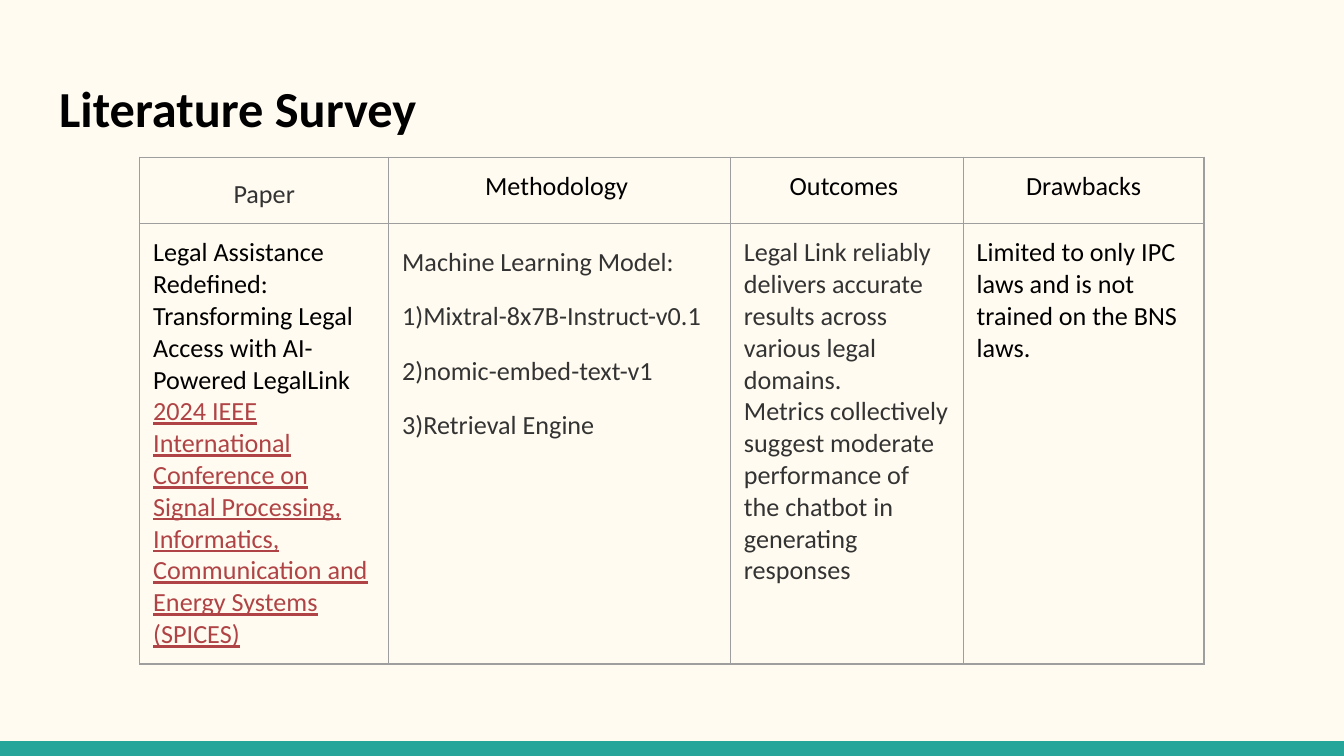
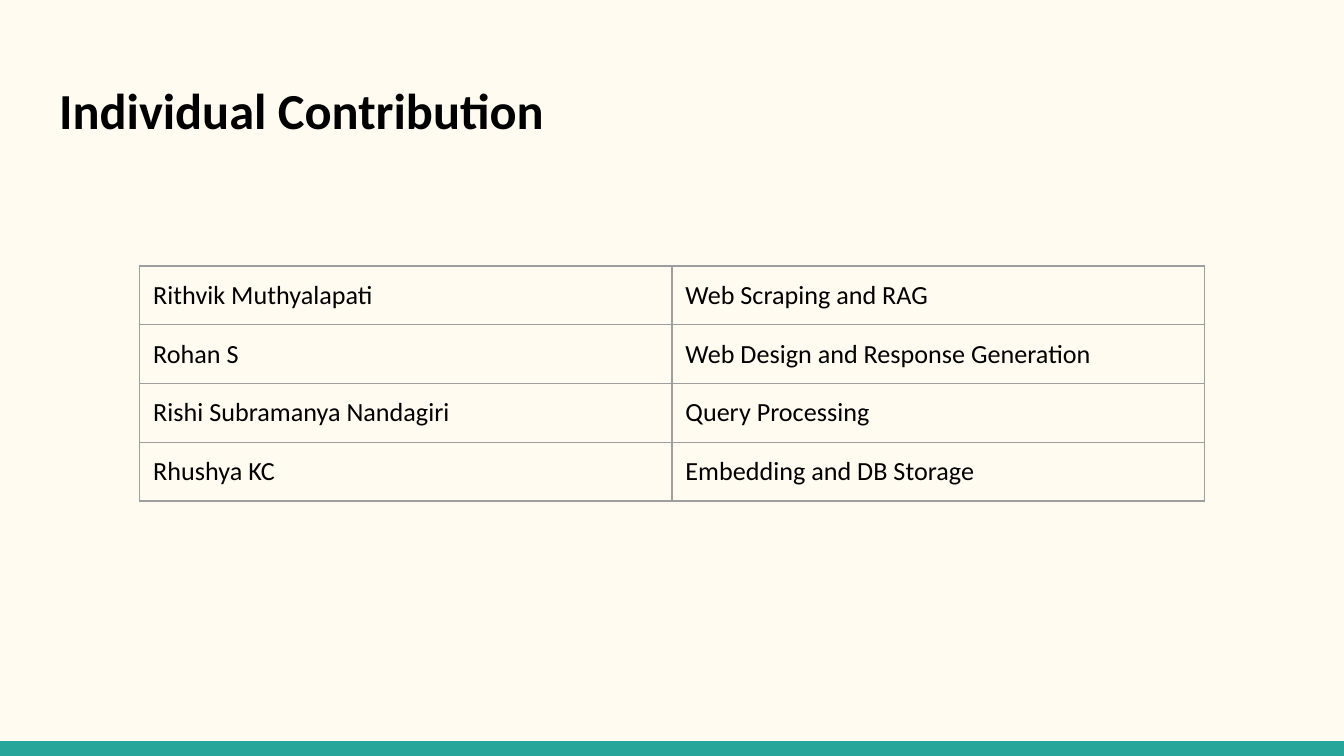
from lxml.etree import SubElement
from pptx import Presentation
from pptx.dml.color import RGBColor
from pptx.enum.shapes import MSO_SHAPE
from pptx.enum.text import MSO_ANCHOR, MSO_AUTO_SIZE, PP_ALIGN
from pptx.oxml.ns import qn
from pptx.util import Inches, Pt

COLORS = {
    "page": "FFFBF0",
    "band": "26A69A",
    "border": "9E9E9E",
    "black": "000000",
    "grey": "333333",
    "citation": "AF4345",
}
FONT = "Calibri"
SLIDE_W = 10
SLIDE_H = SLIDE_W * 9 / 16
BAND_H = 0.11
TABLE_W = 7.92
ROW_H = 0.42
INSET = 0.1

# A cell is a list of paragraphs: the text, then whatever differs from the default.
SURVEY = [
    [
        [("Paper", {"align": "center", "color": "grey", "spacing": 1.24})],
        [("Methodology ", {"align": "center"})],
        [("Outcomes ", {"align": "center"})],
        [("Drawbacks", {"align": "center"})],
    ],
    [
        [
            ("Legal Assistance Redefined: Transforming Legal Access with "
             "AI-Powered LegalLink", {}),
            ("2024 IEEE International Conference on Signal Processing, Informatics, "
             "Communication and Energy Systems (SPICES)",
             {"color": "citation", "underline": True}),
        ],
        [
            ("Machine Learning Model:", {"color": "grey", "spacing": 1.3}),
            ("1)Mixtral-8x7B-Instruct-v0.1", {"color": "grey", "spacing": 1.3, "before": 7}),
            ("2)nomic-embed-text-v1", {"color": "grey", "spacing": 1.3, "before": 7}),
            ("3)Retrieval Engine",
             {"color": "grey", "spacing": 1.3, "before": 7, "after": 7}),
        ],
        [
            ("Legal Link reliably delivers accurate results across various legal domains.",
             {"color": "grey"}),
            ("Metrics collectively suggest moderate performance of the chatbot in "
             "generating responses", {"color": "grey"}),
        ],
        [("Limited to only IPC laws and is not trained on the BNS laws.", {})],
    ],
]

CONTRIBUTIONS = [
    ("Rithvik Muthyalapati", "Web Scraping and RAG"),
    ("Rohan S", "Web Design and Response Generation"),
    ("Rishi Subramanya Nandagiri", "Query Processing"),
    ("Rhushya KC", "Embedding and DB Storage"),
]

SLIDES = [
    {
        "title": "Literature Survey",
        "title_top": 0.47, "title_height": 0.63,
        "table_top": 1.17,
        "columns": [1.85, 2.54, 1.73, 1.79],
        "header_height": 0.45,
        "rows": SURVEY,
    },
    {
        "title": "Individual Contribution",
        "title_top": 0.49, "title_height": 0.67,
        "table_top": 1.98,
        "columns": [1, 1],
        "header_height": ROW_H,
        "rows": [[[(text, {})] for text in row] for row in CONTRIBUTIONS],
    },
]


def rgb(name):
    return RGBColor.from_string(COLORS[name])


def style_font(font, size, color, bold=False):
    font.name = FONT
    font.size = Pt(size)
    font.bold = bold
    font.color.rgb = rgb(color)


def add_band(slide):
    band = slide.shapes.add_shape(
        MSO_SHAPE.RECTANGLE, 0, Inches(SLIDE_H - BAND_H), Inches(SLIDE_W), Inches(BAND_H))
    band.shadow.inherit = False
    band.fill.solid()
    band.fill.fore_color.rgb = rgb("band")
    band.line.fill.background()


def set_title(slide, text, top, height):
    title = slide.shapes.title
    title.left, title.top = Inches(0.34), Inches(top)
    title.width, title.height = Inches(SLIDE_W - 2 * 0.34), Inches(height)
    frame = title.text_frame
    frame.text = text
    frame.auto_size = MSO_AUTO_SIZE.NONE
    frame.vertical_anchor = MSO_ANCHOR.TOP
    frame.margin_left = frame.margin_right = Inches(INSET)
    frame.margin_top = frame.margin_bottom = Inches(INSET)
    frame.paragraphs[0].alignment = PP_ALIGN.LEFT
    style_font(frame.paragraphs[0].runs[0].font, 27, "black", bold=True)


def add_borders(cell):
    properties = cell._tc.get_or_add_tcPr()
    for side in ("a:lnL", "a:lnR", "a:lnT", "a:lnB"):
        line = SubElement(properties, qn(side), w=str(Pt(0.75)))
        fill = SubElement(line, qn("a:solidFill"))
        SubElement(fill, qn("a:srgbClr"), val=COLORS["border"])


def fill_cell(cell, paragraphs):
    add_borders(cell)
    cell.fill.background()
    cell.margin_left = cell.margin_right = Inches(INSET)
    cell.margin_top = cell.margin_bottom = Inches(INSET)
    frame = cell.text_frame
    frame.text = "\n".join(text for text, _ in paragraphs)
    for paragraph, (_, look) in zip(frame.paragraphs, paragraphs):
        centred = look.get("align") == "center"
        paragraph.alignment = PP_ALIGN.CENTER if centred else PP_ALIGN.LEFT
        paragraph.line_spacing = look.get("spacing", 1.0)
        paragraph.space_before = Pt(look.get("before", 0))
        paragraph.space_after = Pt(look.get("after", 0))
        font = paragraph.runs[0].font
        style_font(font, 14, look.get("color", "black"))
        font.underline = look.get("underline", False)


def add_grid(slide, rows, columns, top, header_height):
    heights = [header_height] + [ROW_H] * (len(rows) - 1)
    table = slide.shapes.add_table(
        len(rows), len(columns), Inches((SLIDE_W - TABLE_W) / 2), Inches(top),
        Inches(TABLE_W), Inches(sum(heights))).table
    table.first_row = table.horz_banding = False
    for column, share in zip(table.columns, columns):
        column.width = Inches(TABLE_W * share / sum(columns))
    for row, height, contents in zip(table.rows, heights, rows):
        row.height = Inches(height)
        for cell, paragraphs in zip(row.cells, contents):
            fill_cell(cell, paragraphs)


def main():
    deck = Presentation()
    deck.slide_width, deck.slide_height = Inches(SLIDE_W), Inches(SLIDE_H)
    background = deck.slide_master.background.fill
    background.solid()
    background.fore_color.rgb = rgb("page")
    title_only = deck.slide_layouts[5]
    for content in SLIDES:
        slide = deck.slides.add_slide(title_only)
        add_band(slide)
        set_title(slide, content["title"], content["title_top"], content["title_height"])
        add_grid(slide, content["rows"], content["columns"],
                 content["table_top"], content["header_height"])
    deck.save("out.pptx")


if __name__ == "__main__":
    main()
